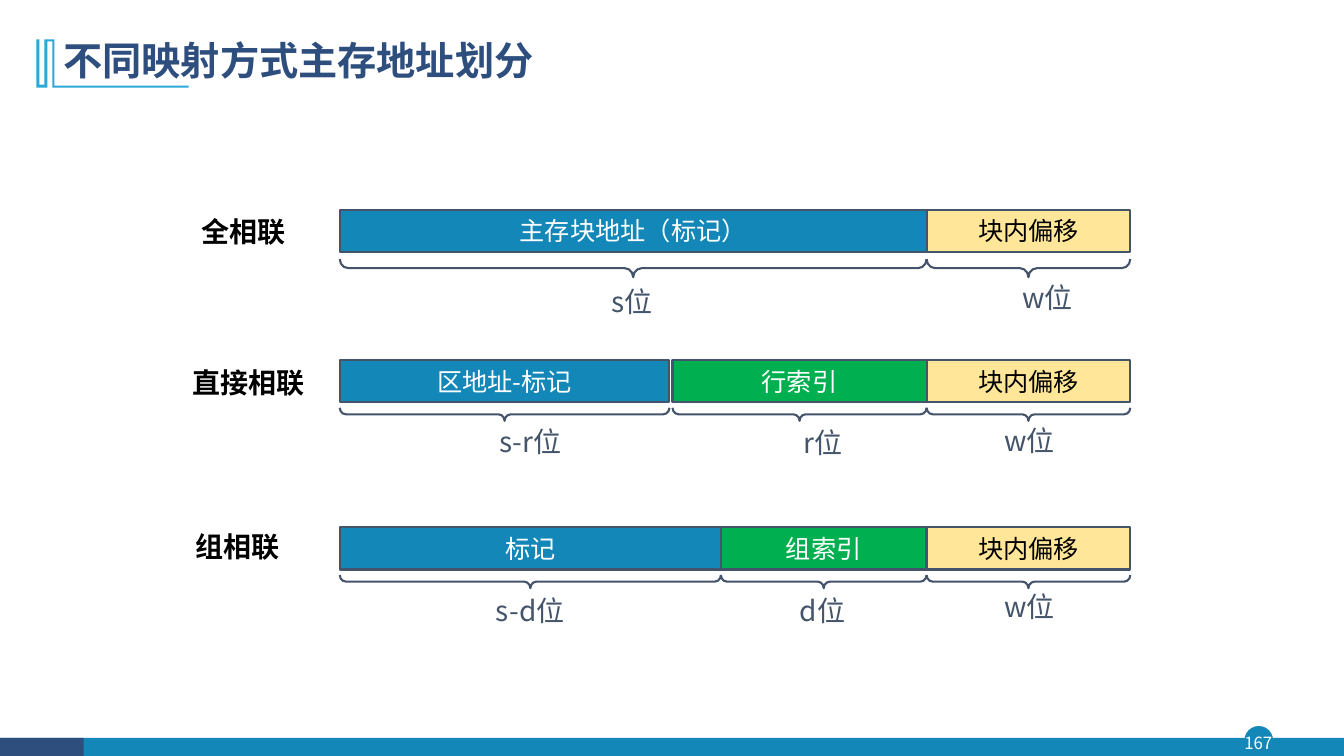
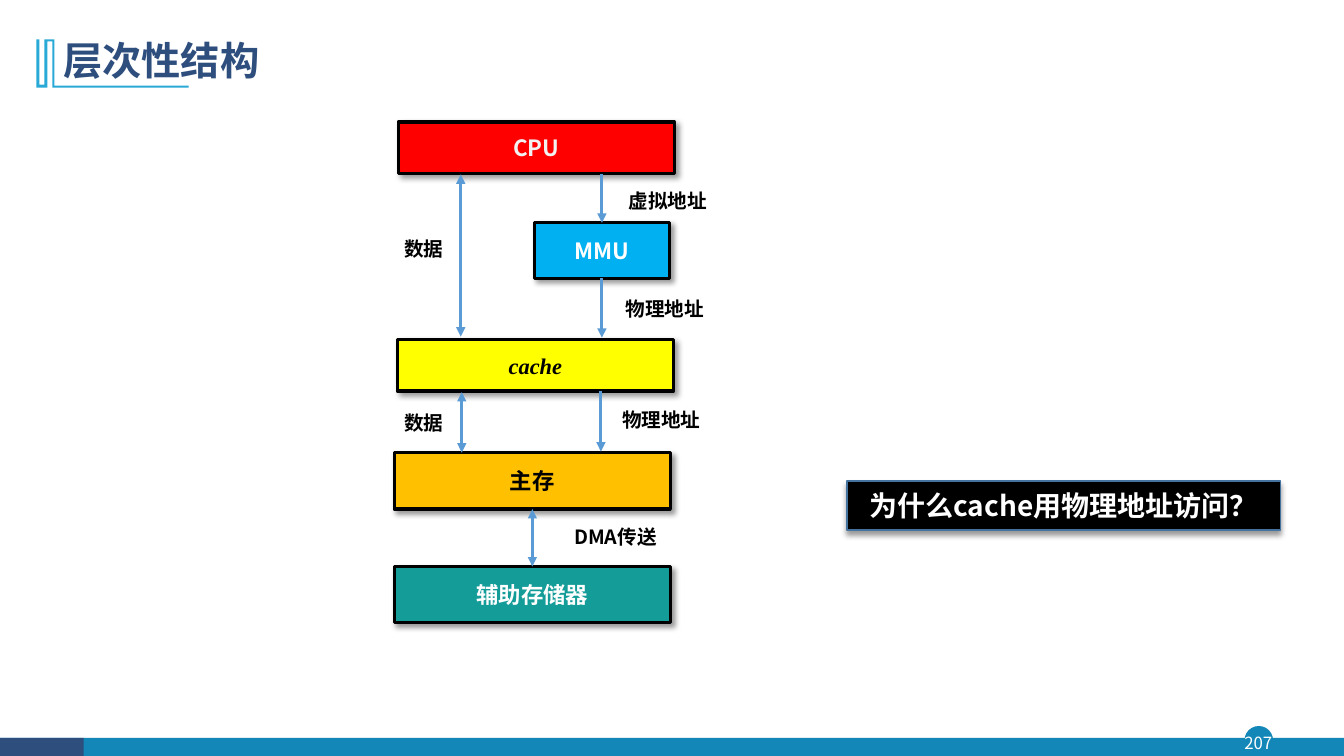
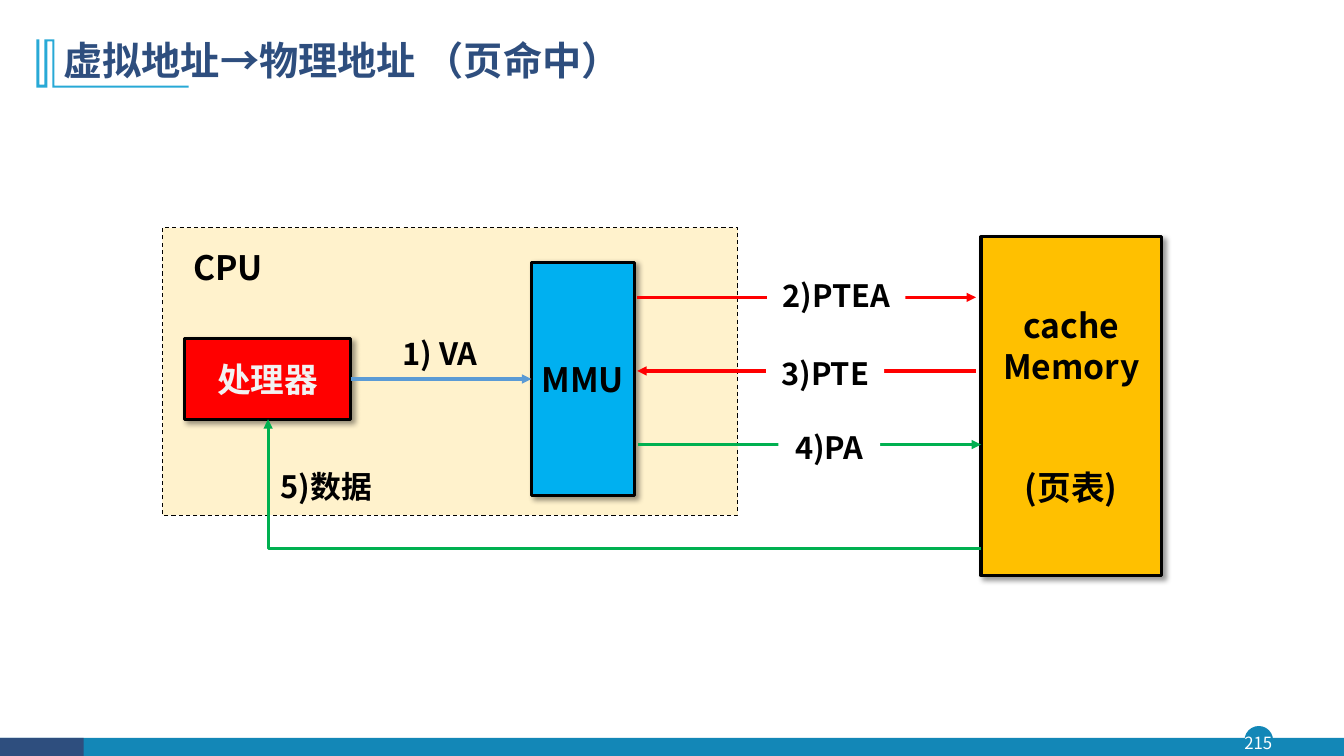
from lxml import etree
from pptx import Presentation
from pptx import util as u
from pptx.dml.color import RGBColor
from pptx.enum import dml, shapes, text
from pptx.oxml import ns

FONT = "Noto Sans CJK SC"
NAVY, BLUE, CYAN, SLATE = "2E4E7E", "1387B7", "28A9D6", "44546A"
BLACK, WHITE, PALE = "000000", "FFFFFF", "F2F2F2"
RED, GREEN, YELLOW, AMBER = "FF0000", "00B050", "FFFF00", "FFC000"
SKY, TEAL, SAND, CREAM, STEEL = "00B0F0", "149C99", "FFE699", "FFF2CC", "5B9BD5"
LEFT, CENTER = text.PP_ALIGN.LEFT, text.PP_ALIGN.CENTER
TOP, MIDDLE = text.MSO_ANCHOR.TOP, text.MSO_ANCHOR.MIDDLE
rgb = RGBColor.from_string


def add_box(slide, at, fill=None, line=None, width=1, shadow=None, preset="RECTANGLE"):
    """Add a preset shape; shadow is the direction of its soft shadow in degrees."""
    shape = slide.shapes.add_shape(shapes.MSO_SHAPE[preset], *map(u.Inches, at))
    shape.shadow.inherit = False
    if fill:
        shape.fill.solid()
        shape.fill.fore_color.rgb = rgb(fill)
    else:
        shape.fill.background()
    if line:
        shape.line.color.rgb = rgb(line)
        shape.line.width = u.Pt(width)
    else:
        shape.line.fill.background()
    if shadow is not None:
        effects = shape.element.spPr.find(ns.qn("a:effectLst"))
        outer = etree.SubElement(effects, ns.qn("a:outerShdw"), blurRad=str(u.Pt(4)),
                                 dist=str(u.Pt(3)), dir=str(shadow * 60000),
                                 algn="ctr", rotWithShape="0")
        shade = etree.SubElement(outer, ns.qn("a:srgbClr"), val=BLACK)
        etree.SubElement(shade, ns.qn("a:alpha"), val="40000")
    return shape


def write(shape, content, size, color, bold=True, align=CENTER, anchor=MIDDLE,
          font=FONT, italic=False):
    """Fill a shape with one paragraph per line of content, without insets."""
    frame = shape.text_frame
    frame.word_wrap = True
    frame.vertical_anchor = anchor
    frame.margin_left = frame.margin_right = frame.margin_top = frame.margin_bottom = 0
    for index, line in enumerate(content.split("\n")):
        paragraph = frame.add_paragraph() if index else frame.paragraphs[0]
        paragraph.alignment = align
        run = paragraph.add_run()
        run.text = line
        run.font.size = u.Pt(size)
        run.font.bold = bold
        run.font.italic = italic
        run.font.color.rgb = rgb(color)
        run.font.name = font
        etree.SubElement(run.font._element, ns.qn("a:ea"), typeface=font)
    return frame


presentation = Presentation()
presentation.slide_width = u.Inches(13.33)
presentation.slide_height = u.Inches(7.5)

# Title, title mark, footer band and page number
mark_points = [(54, 85), (187, 85), (187, 87), (52, 87), (52, 41), (47, 41), (47, 87),
               (36, 87), (36, 39), (39, 39), (39, 84), (44, 84), (44, 39)]
pages = [("不同映射方式主存地址划分", "167"), ("层次性结构", "207"),
         ("虚拟地址→物理地址 （页命中）", "215")]
slides = []
for heading, number in pages:
    slide = presentation.slides.add_slide(presentation.slide_layouts[5])
    slides.append(slide)
    add_box(slide, (12.35, 7.21, 0.27, 0.27), BLUE, BLUE, preset="OVAL")
    add_box(slide, (0, 7.32, 13.33, 0.18), BLUE)
    add_box(slide, (0, 7.32, 0.83, 0.18), NAVY)
    page_box = slide.shapes.add_textbox(*map(u.Inches, (12.32, 7.21, 0.32, 0.31)))
    write(page_box, number, 12, WHITE, bold=False)

    builder = slide.shapes.build_freeform(54, 39, scale=u.Inches(0.01))
    builder.add_line_segments(mark_points, close=True)
    mark = builder.convert_to_shape()
    mark.shadow.inherit = False
    mark.fill.solid()
    mark.fill.fore_color.rgb = rgb(CYAN)
    mark.line.fill.background()

    title = slide.shapes.title
    title.left, title.top, title.width, title.height = map(u.Inches, (0.53, 0.28, 11.5, 0.68))
    frame = write(title, heading, 28, NAVY, align=LEFT)
    frame.margin_left = u.Inches(0.1)
    frame.paragraphs[0].line_spacing = 0.9

address_slide, hierarchy_slide, page_hit_slide = slides

# Address layouts: name, name position, field top, brace centre and depth,
# then fields as text, fill, left, width, bit label, label centre
address_rows = [
    ("全相联", (2.0, 2.07), 2.08, 2.66, 0.18, [
        ("主存块地址（标记）", BLUE, 3.37, 5.82, "s位", (6.27, 2.98)),
        ("块内偏移", SAND, 9.19, 2.02, "w位", (10.39, 2.94))]),
    ("直接相联", (1.91, 3.57), 3.57, 4.11, 0.13, [
        ("区地址-标记", BLUE, 3.37, 3.27, "s-r位", (5.26, 4.37)),
        ("行索引", GREEN, 6.67, 2.52, "r位", (8.16, 4.38)),
        ("块内偏移", SAND, 9.19, 2.02, "w位", (10.21, 4.36))]),
    ("组相联", (1.94, 5.2), 5.23, 5.77, 0.13, [
        ("标记", BLUE, 3.37, 3.78, "s-d位", (5.26, 6.05)),
        ("组索引", GREEN, 7.15, 2.04, "d位", (8.16, 6.05)),
        ("块内偏移", SAND, 9.19, 2.02, "w位", (10.21, 6.01))]),
]
for name, (name_x, name_y), top, brace_y, depth, fields in address_rows:
    name_box = address_slide.shapes.add_textbox(
        *map(u.Inches, (name_x, name_y, 1.3, 0.44)))
    write(name_box, name, 20, BLACK, align=LEFT)
    for content, fill, left, width, bits, (label_x, label_y) in fields:
        field = add_box(address_slide, (left, top, width, 0.42), fill, SLATE, 1.5)
        write(field, content, 18, BLACK if fill == SAND else WHITE, bold=False)
        brace = add_box(address_slide,
                        (left + width / 2 - depth / 2, brace_y - width / 2, depth, width),
                        line=SLATE, width=1.5, preset="LEFT_BRACE")
        brace.rotation = 270
        brace.adjustments[0] = 0.47
        bits_box = address_slide.shapes.add_textbox(
            *map(u.Inches, (label_x - 0.55, label_y - 0.12, 1.1, 0.25)))
        write(bits_box, bits, 20, SLATE, bold=False)

# Boxes of the memory hierarchy and of the page hit
cpu_area = add_box(page_hit_slide, (1.61, 2.26, 5.71, 2.85), CREAM, BLACK, 0.75)
cpu_area.line.dash_style = dml.MSO_LINE.DASH

block_rows = [
    (hierarchy_slide, "CPU", (3.95, 1.21, 2.74, 0.51), RED, PALE, 16),
    (hierarchy_slide, "MMU", (5.3, 2.21, 1.34, 0.55), SKY, WHITE, 16),
    (hierarchy_slide, "主存", (3.91, 4.49, 2.74, 0.56), AMBER, BLACK, 16),
    (hierarchy_slide, "辅助存储器", (3.91, 5.62, 2.74, 0.56), TEAL, WHITE, 16),
    (page_hit_slide, "处理器", (1.83, 3.36, 1.65, 0.8), RED, PALE, 24),
    (page_hit_slide, "MMU", (5.27, 2.6, 1.02, 2.32), SKY, BLACK, 24),
    (page_hit_slide, "cache\nMemory\n(页表)", (9.73, 2.35, 1.79, 3.36), AMBER, BLACK, 24),
]
blocks = []
for slide, content, at, fill, color, size in block_rows:
    block = add_box(slide, at, fill, BLACK, 2.25, shadow=45)
    write(block, content, size, color)
    blocks.append(block)
cpu, mmu, main_memory, disk, processor, page_mmu, page_memory = blocks
page_memory.text_frame.paragraphs[2].space_before = u.Pt(58)

cache = add_box(hierarchy_slide, (3.94, 3.37, 2.74, 0.51), YELLOW, BLACK, 2.25, shadow=45)
write(cache, "cache", 16, BLACK, font="Times New Roman", italic=True)
question = add_box(hierarchy_slide, (8.4, 4.77, 4.3, 0.49), BLACK, "43739E", shadow=90)
write(question, "为什么cache用物理地址访问？", 20, WHITE)

# Arrows: slide, ends, colour, two-headed, joined start and end as (block, side)
arrow_rows = [
    (hierarchy_slide, (5.97, 1.73, 5.97, 2.21), STEEL, False, None, (mmu, 0)),
    (hierarchy_slide, (5.97, 2.76, 5.97, 3.35), STEEL, False, (mmu, 2), None),
    (hierarchy_slide, (5.96, 3.88, 5.96, 4.48), STEEL, False, None, None),
    (hierarchy_slide, (5.28, 5.05, 5.28, 5.62), STEEL, True, (main_memory, 2), (disk, 0)),
    (hierarchy_slide, (4.57, 1.73, 4.57, 3.34), STEEL, True, None, None),
    (hierarchy_slide, (4.58, 3.89, 4.58, 4.49), STEEL, True, None, None),
    (page_hit_slide, (3.48, 3.76, 5.27, 3.76), STEEL, False, (processor, 3), (page_mmu, 1)),
    (page_hit_slide, (6.32, 2.95, 9.68, 2.95), RED, False, None, None),
    (page_hit_slide, (9.68, 3.68, 6.32, 3.68), RED, False, None, None),
    (page_hit_slide, (6.33, 4.41, 9.73, 4.41), GREEN, False, None, None),
    (page_hit_slide, (9.73, 5.44, 2.66, 4.16), GREEN, False, None, None),
]
for slide, ends, color, two_headed, start, end in arrow_rows:
    bent = ends[0] != ends[2] and ends[1] != ends[3]
    kind = shapes.MSO_CONNECTOR.ELBOW if bent else shapes.MSO_CONNECTOR.STRAIGHT
    arrow = slide.shapes.add_connector(kind, *map(u.Inches, ends))
    if bent:
        arrow.element.spPr.find(ns.qn("a:prstGeom")).set("prst", "bentConnector2")
    if start:
        arrow.begin_connect(*start)
    if end:
        arrow.end_connect(*end)
    arrow.line.color.rgb = rgb(color)
    arrow.line.width = u.Pt(2.25)
    outline = arrow.get_or_add_ln()
    if two_headed:
        etree.SubElement(outline, ns.qn("a:headEnd"), type="triangle")
    etree.SubElement(outline, ns.qn("a:tailEnd"), type="triangle")
    etree.SubElement(arrow.element.spPr, ns.qn("a:effectLst"))

# Labels beside the arrows, and white ones that interrupt an arrow
label_rows = [
    (hierarchy_slide, "虚拟地址", (6.13, 1.87, 0.99, 0.28), 14),
    (hierarchy_slide, "物理地址", (6.06, 2.95, 1.07, 0.28), 14),
    (hierarchy_slide, "物理地址", (5.99, 4.05, 1.14, 0.28), 14),
    (hierarchy_slide, "DMA传送", (5.47, 5.21, 1.27, 0.28), 14),
    (hierarchy_slide, "数据", (3.85, 2.35, 0.71, 0.28), 14),
    (hierarchy_slide, "数据", (3.85, 4.08, 0.71, 0.28), 14),
    (page_hit_slide, "CPU", (1.75, 2.45, 1.02, 0.46), 24),
    (page_hit_slide, "1) VA", (3.86, 3.32, 1.01, 0.43), 22),
    (page_hit_slide, "5)数据", (2.73, 4.64, 1.01, 0.43), 22),
]
for slide, content, at, size in label_rows:
    label = slide.shapes.add_textbox(*map(u.Inches, at))
    write(label, content, size, BLACK, anchor=TOP)

for content, at in [("2)PTEA", (7.61, 2.75, 1.37, 0.4)),
                    ("3)PTE", (7.6, 3.52, 1.17, 0.42)),
                    ("4)PA", (7.72, 4.25, 1.01, 0.43))]:
    label = add_box(page_hit_slide, at, WHITE)
    write(label, content, 22, BLACK, anchor=TOP)

presentation.save("out.pptx")
